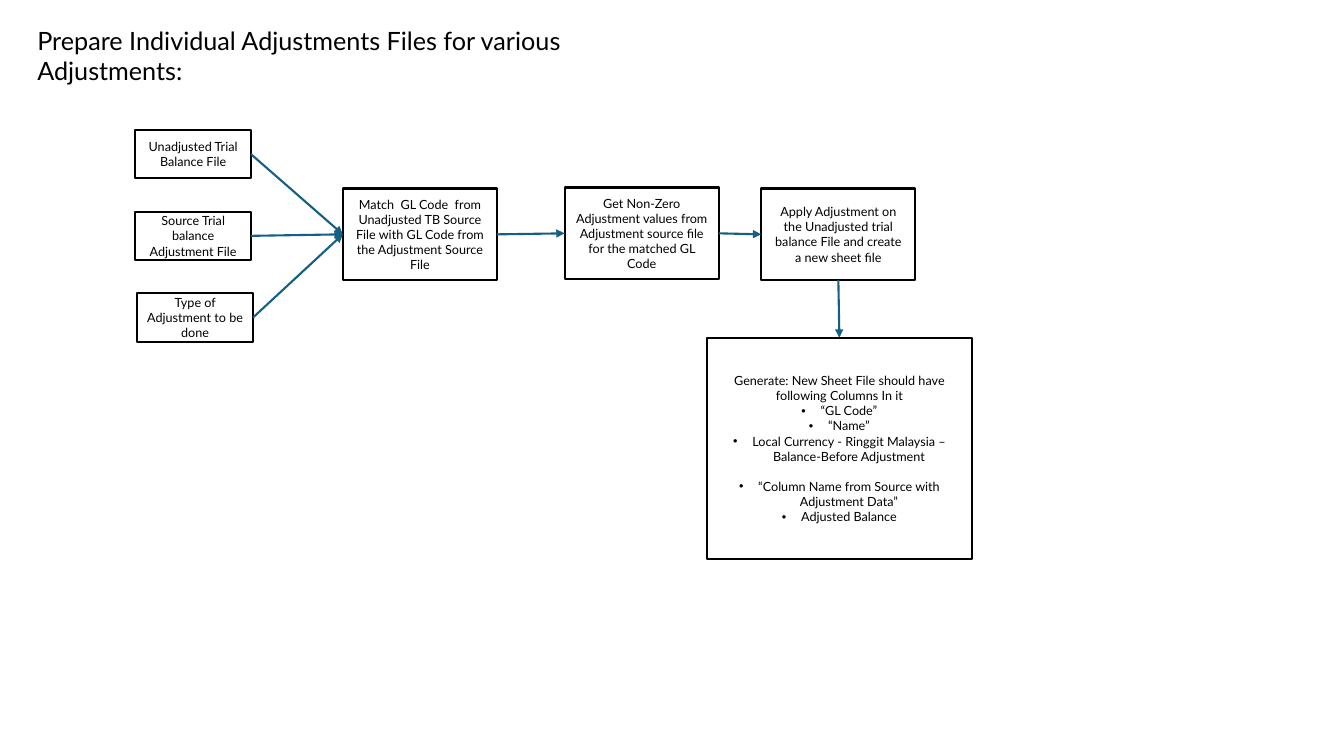
from dataclasses import dataclass

from lxml.etree import SubElement
from pptx import Presentation
from pptx.dml.color import RGBColor
from pptx.enum.shapes import MSO_CONNECTOR, MSO_SHAPE
from pptx.enum.text import MSO_ANCHOR, MSO_AUTO_SIZE, PP_ALIGN
from pptx.oxml.ns import qn
from pptx.shapes.autoshape import Shape
from pptx.slide import Slide
from pptx.text.text import TextFrame, _Paragraph
from pptx.util import Inches, Pt

BLACK = RGBColor(0x00, 0x00, 0x00)
WHITE = RGBColor(0xFF, 0xFF, 0xFF)
TEAL = RGBColor(0x15, 0x60, 0x82)
FONT = "Lato"
TOP, LEFT, BOTTOM, RIGHT = range(4)
SMALL = (1.15, 0.48)
MID = (1.53, 0.91)
LARGE = (2.63, 2.2)
FRAME = {"word_wrap": True, "auto_size": MSO_AUTO_SIZE.NONE}
INDENT = {"marL": str(Inches(0.19)), "indent": str(Inches(-0.19))}


@dataclass
class Box:
    name: str
    left: float
    top: float
    size: tuple[float, float]
    text: str
    items: tuple[str, ...] = ()


@dataclass
class Link:
    start: str
    end: str
    exit: int = RIGHT
    entry: int = LEFT


BOXES = [
    Box("trial", 1.34, 1.29, SMALL, "Unadjusted Trial Balance File"),
    Box("source", 1.34, 2.1, SMALL, "Source Trial balance Adjustment File"),
    Box("type", 1.36, 2.91, SMALL, "Type of Adjustment to be done"),
    Box("match", 3.4, 1.87, MID,
        "Match  GL Code  from Unadjusted TB Source File with GL Code from the Adjustment Source File"),
    Box("values", 5.6, 1.86, MID,
        "Get Non-Zero Adjustment values from Adjustment source file for the matched GL Code"),
    Box("apply", 7.55, 1.87, MID,
        "Apply Adjustment on the Unadjusted trial balance File and create a new sheet file"),
    Box("output", 7.01, 3.35, LARGE,
        "Generate: New Sheet File should have following Columns In it",
        ("“GL Code”", "“Name”",
         "Local Currency - Ringgit Malaysia – Balance-Before Adjustment",
         "“Column Name from Source with Adjustment Data”", "Adjusted Balance")),
]
LINKS = [
    Link("trial", "match"),
    Link("source", "match"),
    Link("type", "match"),
    Link("match", "values"),
    Link("values", "apply"),
    Link("apply", "output", BOTTOM, TOP),
]
GAPS = {"“Column Name from Source with Adjustment Data”": Pt(10.8)}


def assign(target: object, values: dict) -> None:
    for key, value in values.items():
        setattr(target, key, value)


def write(para: _Paragraph, text: str, size: float, align: PP_ALIGN) -> None:
    run = para.add_run()
    run.text = text
    para.alignment = align
    assign(run.font, {"name": FONT, "size": Pt(size)})
    run.font.color.rgb = BLACK


def add_item(frame: TextFrame, text: str) -> None:
    para = frame.add_paragraph()
    write(para, text, 9, PP_ALIGN.CENTER)
    if text in GAPS:
        para.space_before = GAPS[text]
    props = para._p.get_or_add_pPr()
    for key, value in INDENT.items():
        props.set(key, value)
    SubElement(props, qn("a:buFont"), typeface="Arial")
    SubElement(props, qn("a:buChar"), char="•")


def draw_box(slide: Slide, box: Box) -> Shape:
    place = map(Inches, (box.left, box.top, *box.size))
    shape = slide.shapes.add_shape(MSO_SHAPE.RECTANGLE, *place)
    shape.shadow.inherit = False
    shape.fill.solid()
    shape.fill.fore_color.rgb = WHITE
    shape.line.color.rgb = BLACK
    shape.line.width = Pt(1.5)
    frame = shape.text_frame
    assign(frame, FRAME | {"vertical_anchor": MSO_ANCHOR.MIDDLE})
    write(frame.paragraphs[0], box.text, 9, PP_ALIGN.CENTER)
    for item in box.items:
        add_item(frame, item)
    return shape


def draw_link(slide: Slide, link: Link, shapes: dict[str, Shape]) -> None:
    arrow = slide.shapes.add_connector(MSO_CONNECTOR.STRAIGHT, 0, 0, 0, 0)
    arrow.begin_connect(shapes[link.start], link.exit)
    arrow.end_connect(shapes[link.end], link.entry)
    arrow.line.color.rgb = TEAL
    arrow.line.width = Pt(1.5)
    props = arrow.element.spPr
    SubElement(props.find(qn("a:ln")), qn("a:tailEnd"), type="triangle")
    SubElement(props, qn("a:effectLst"))


def draw_title(slide: Slide) -> None:
    title = slide.shapes.title
    assign(title, {"left": Inches(0.27), "top": Inches(0.2),
                   "width": Inches(6.84), "height": Inches(0.4)})
    frame = title.text_frame
    assign(frame, FRAME | {"vertical_anchor": MSO_ANCHOR.TOP})
    write(frame.paragraphs[0],
          "Prepare Individual Adjustments Files for various Adjustments:",
          18, PP_ALIGN.LEFT)


def main() -> None:
    deck = Presentation()
    assign(deck, {"slide_width": Inches(13.33), "slide_height": Inches(7.5)})
    slide = deck.slides.add_slide(deck.slide_layouts[5])
    draw_title(slide)
    shapes = {box.name: draw_box(slide, box) for box in BOXES}
    for link in LINKS:
        draw_link(slide, link, shapes)
    deck.save("out.pptx")


if __name__ == "__main__":
    main()
